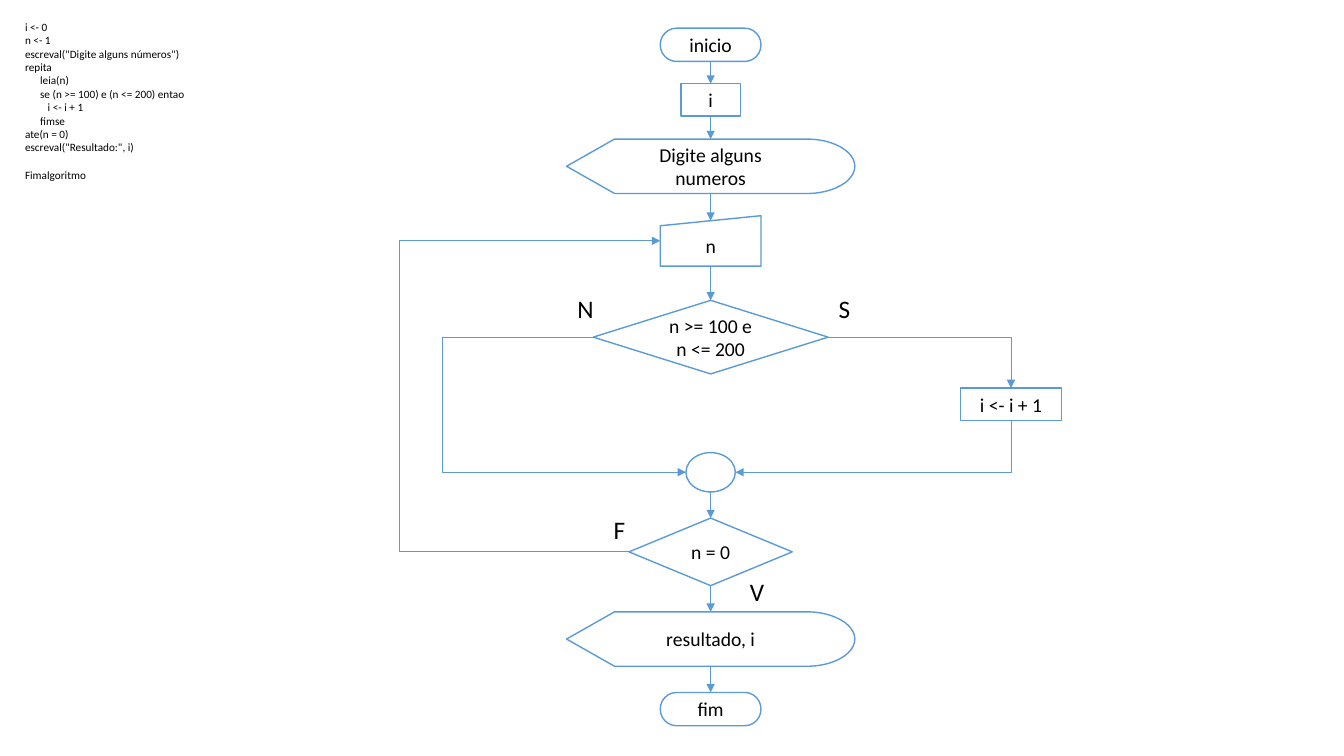
"""Build a flowchart slide that counts the numbers between 100 and 200."""
from lxml import etree
from pptx import Presentation
from pptx import util as u
from pptx.dml.color import RGBColor
from pptx.enum import shapes, text
from pptx.oxml.ns import qn

BLUE = RGBColor(0x5B, 0x9B, 0xD5)
WHITE = RGBColor(0xFF, 0xFF, 0xFF)
BLACK = RGBColor(0x00, 0x00, 0x00)
FONT = "Calibri"
COLS, ROWS = 133.33, 75
SLIDE_W, SLIDE_H = u.Inches(13.33), u.Inches(7.5)
SPINE, BRANCH = 70.5, 100.3
TOP, LEFT, BOTTOM, RIGHT = range(4)
KIND = shapes.MSO_SHAPE

CODE = [
    ("i <- 0", 0), ("n <- 1", 0), ('escreval("Digite alguns números")', 0),
    ("repita", 0), ("leia(n)", 2), ("se (n >= 100) e (n <= 200) entao", 2),
    ("i <- i + 1", 3), ("fimse", 2), ("ate(n = 0)", 0),
    ('escreval("Resultado:", i)', 0), ("Fimalgoritmo", 0),
]
STEPS = [
    ("start", KIND.FLOWCHART_TERMINATOR, SPINE, 2.8, 10, 3.3, "inicio"),
    ("counter", KIND.RECTANGLE, SPINE, 8.3, 5.9, 3.2, "i"),
    ("prompt", KIND.FLOWCHART_DISPLAY, SPINE, 13.8, 28.6, 5.4,
     "Digite alguns numeros"),
    ("read", KIND.FLOWCHART_MANUAL_INPUT, SPINE, 21.4, 10, 5, "n"),
    ("in_range", KIND.FLOWCHART_DECISION, SPINE, 29.8, 23.3, 7.3,
     "n >= 100 e n <= 200"),
    ("join", KIND.FLOWCHART_CONNECTOR, SPINE, 44.9, 4.9, 3.9, ""),
    ("is_zero", KIND.FLOWCHART_DECISION, SPINE, 51.4, 16.2, 6.7, "n = 0"),
    ("result", KIND.FLOWCHART_DISPLAY, SPINE, 60.7, 28.6, 5.4, "resultado, i"),
    ("end", KIND.FLOWCHART_TERMINATOR, SPINE, 68.7, 10, 3.3, "fim"),
    ("increment", KIND.RECTANGLE, BRANCH, 38.5, 10, 3.2, "i <- i + 1"),
]
LABELS = [("S", 82.2, 28.6, 3.2), ("N", 56.3, 28.6, 3.6),
          ("V", 73.4, 56.7, 3.5), ("F", 59.9, 50.5, 3.2)]


def col(n):
    """Return the length of n grid columns."""
    return u.Emu(round(SLIDE_W * n / COLS))


def row(n):
    """Return the length of n grid rows."""
    return u.Emu(round(SLIDE_H * n / ROWS))


def write(p, words, size=14, align=None, indent=0, before=0):
    """Write one formatted run into a paragraph."""
    p.alignment = align
    p.space_before = u.Pt(before)
    if indent:
        p._p.get_or_add_pPr().set("marL", str(u.Pt(indent)))
    r = p.add_run()
    r.text = words
    r.font.size, r.font.name = u.Pt(size), FONT
    r.font.color.rgb = BLACK


def add_box(s, x, y, w, h, wrap):
    """Add a text box and return its text frame."""
    tf = s.shapes.add_textbox(col(x), row(y), col(w), row(h)).text_frame
    tf.word_wrap = wrap
    tf.auto_size = text.MSO_AUTO_SIZE.SHAPE_TO_FIT_TEXT
    return tf


def add_code(s):
    """Add the indented pseudocode listing."""
    tf = add_box(s, 1.5, 1.5, 19.2, 17.2, True)
    for n, (words, level) in enumerate(CODE):
        p = tf.paragraphs[0] if n == 0 else tf.add_paragraph()
        last = n == len(CODE) - 1
        write(p, words, size=8, indent=5.4 * level, before=9.8 if last else 0)


def add_step(s, kind, center, y, w, h, words):
    """Add a flowchart shape centred on a column."""
    sp = s.shapes.add_shape(kind, col(center - w / 2), row(y), col(w), row(h))
    sp.shadow.inherit = False
    sp.fill.solid()
    sp.fill.fore_color.rgb = WHITE
    sp.line.color.rgb = BLUE
    sp.line.width = u.Pt(1)
    tf = sp.text_frame
    tf.word_wrap = True
    tf.vertical_anchor = text.MSO_ANCHOR.MIDDLE
    if words:
        write(tf.paragraphs[0], words, align=text.PP_ALIGN.CENTER)
    return sp


def side(sp, site):
    """Return the middle point of a side of a shape."""
    x, y = sp.left + sp.width // 2, sp.top + sp.height // 2
    return {TOP: (x, sp.top), LEFT: (sp.left, y),
            BOTTOM: (x, sp.top + sp.height),
            RIGHT: (sp.left + sp.width, y)}[site]


def add_arrow(s, kind, begin, end):
    """Add a thin blue connector with an arrowhead at its end."""
    c = s.shapes.add_connector(kind, *begin, *end)
    c.line.color.rgb = BLUE
    c.line.width = u.Pt(0.5)
    etree.SubElement(c.line._get_or_add_ln(), qn("a:tailEnd"), type="triangle")
    etree.SubElement(c._element.spPr, qn("a:effectLst"))
    return c


def link_down(s, upper, lower):
    """Join two stacked shapes with a straight arrow."""
    x, y = side(lower, TOP)
    slanted = lower.auto_shape_type == KIND.FLOWCHART_MANUAL_INPUT
    if slanted:
        y += lower.height // 10
    c = add_arrow(s, shapes.MSO_CONNECTOR.STRAIGHT, side(upper, BOTTOM), (x, y))
    if upper.auto_shape_type != KIND.FLOWCHART_CONNECTOR:
        c.begin_connect(upper, BOTTOM)
    if not slanted:
        c.end_connect(lower, TOP)


def link_around(s, begin, end, lane):
    """Add an elbow arrow that runs through a vertical lane."""
    c = add_arrow(s, shapes.MSO_CONNECTOR.ELBOW, begin, end)
    share = round((lane - begin[0]) / (end[0] - begin[0]) * 100000)
    guides = c._element.spPr.find(qn("a:prstGeom")).find(qn("a:avLst"))
    etree.SubElement(guides, qn("a:gd"), name="adj1", fmla=f"val {share}")


def link_corner(s, begin, end, down_first=False):
    """Add an arrow with one corner, turned when it goes down and then left."""
    if down_first:
        x, y = (begin[0] + end[0]) // 2, (begin[1] + end[1]) // 2
        w, h = abs(end[1] - begin[1]), abs(end[0] - begin[0])
        begin, end = (x - w // 2, y - h // 2), (x + w // 2, y + h // 2)
    c = add_arrow(s, shapes.MSO_CONNECTOR.ELBOW, begin, end)
    c._element.spPr.find(qn("a:prstGeom")).set("prst", "bentConnector2")
    if down_first:
        c._element.spPr.find(qn("a:xfrm")).set("rot", str(90 * 60000))


def main():
    """Build the slide and save it."""
    prs = Presentation()
    prs.slide_width, prs.slide_height = SLIDE_W, SLIDE_H
    s = prs.slides.add_slide(prs.slide_layouts[6])
    add_code(s)
    steps = {name: add_step(s, *spec_row) for name, *spec_row in STEPS}
    spine = [steps[name] for name, _, center, *_ in STEPS if center == SPINE]
    for upper, lower in zip(spine, spine[1:]):
        if upper is not steps["in_range"]:
            link_down(s, upper, lower)
    join, extra = steps["join"], steps["increment"]
    link_around(s, side(steps["in_range"], LEFT), side(join, LEFT), col(43.9))
    link_around(s, side(steps["is_zero"], LEFT), side(steps["read"], LEFT),
                col(39.6))
    link_corner(s, side(steps["in_range"], RIGHT), side(extra, TOP))
    link_corner(s, side(extra, BOTTOM), side(join, RIGHT), down_first=True)
    for words, x, y, w in LABELS:
        write(add_box(s, x, y, w, 4, False).paragraphs[0], words, size=18)
    prs.save("out.pptx")


if __name__ == "__main__":
    main()
